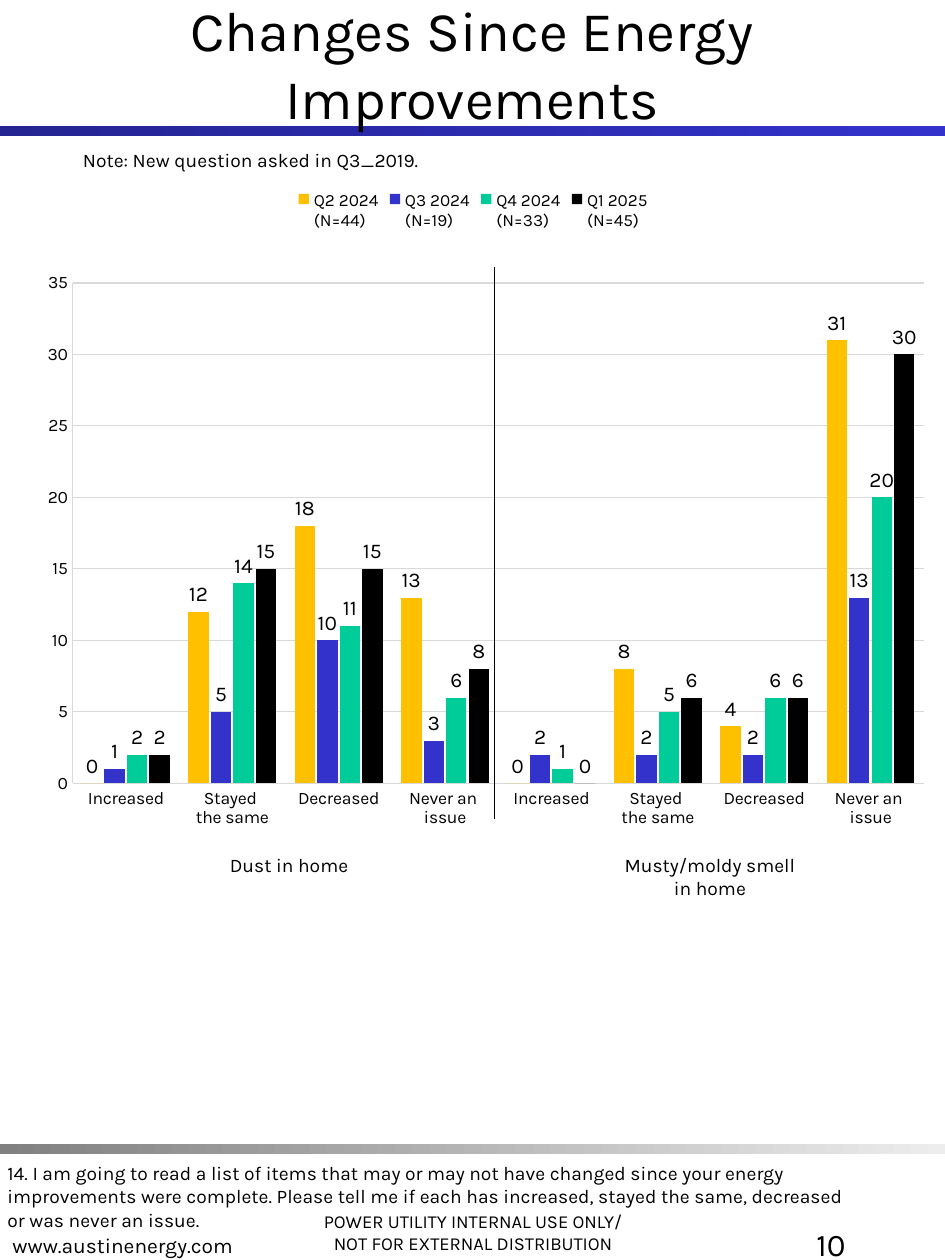
from lxml import etree
from pptx import Presentation
from pptx.chart.data import CategoryChartData
from pptx.dml.color import RGBColor
from pptx.enum import chart as ch, shapes, text
from pptx.oxml import parse_xml
from pptx.oxml.ns import nsdecls, qn
from pptx.util import Inches, Pt

# Content
TITLE = "Changes Since Energy Improvements"
ANSWERS = ["Increased", "Stayed \nthe same", "Decreased", "Never an \nissue"]
TOPICS = 2
SERIES = [
    ("Q2 2024\n(N=44)", "FFC000", (0, 12, 18, 13, 0, 8, 4, 31)),
    ("Q3 2024\n(N=19)", "3333CC", (1, 5, 10, 3, 2, 2, 2, 13)),
    ("Q4 2024\n(N=33)", "00CC99", (2, 14, 11, 6, 1, 5, 6, 20)),
    ("Q1 2025\n(N=45)", "000000", (2, 15, 15, 8, 0, 6, 6, 30)),
]
QUESTION = ("14. I am going to read a list of items that may or may not have changed since "
            "your energy improvements were complete. Please tell me if each has increased, "
            "stayed the same, decreased or was never an issue.")

THEME = {
    "font": "Karla", "ink": "000000", "grid": "D9D9D9",
    "title": 32, "number": 18, "site": 12, "body": 11, "footer": 10.5,
    "axis": 10, "legend": 9.8, "label": 12,
}

# Bars: top, gradient start, gradient end
BARS = [(1, "242492", "3333CC"), (9.08, "808080", "EDEDED")]

# Text boxes: lines, (left, top, width, height), size, alignment, anchor, wrap
A, V = text.PP_ALIGN, text.MSO_ANCHOR
FOOTERS = [
    (["POWER UTILITY INTERNAL USE ONLY/", "NOT FOR EXTERNAL DISTRIBUTION"],
     (2.16, 9.33, 3.19, 0.67), "footer", A.CENTER, V.BOTTOM, True),
    (["www.austinenergy.com"], (0, 9.36, 3.19, 0.67), "site", A.LEFT, V.BOTTOM, True),
    (["10"], (5.25, 9.67, 1.56, 0.67), "number", A.RIGHT, V.TOP, True),
]
NOTES = [
    (["Note: New question asked in Q3_2019."],
     (0.56, 1.13, 6.44, 0.29), "body", A.LEFT, V.TOP, True),
    ([QUESTION], (-0.04, 9.17, 6.85, 0.66), "body", A.LEFT, V.TOP, True),
]
TOPIC_LABELS = [
    (["Dust in home"], (1.58, 6.72, 1.43, 0.29), "body", A.CENTER, V.TOP, False),
    (["Musty/moldy smell", "in home"],
     (4.92, 6.72, 1.43, 0.6), "body", A.CENTER, V.TOP, False),
]


def rgb(value):
    return RGBColor.from_string(value)


def style_font(font, size):
    font.name = THEME["font"]
    font.size = Pt(THEME[size])
    font.bold = False
    font.color.rgb = rgb(THEME["ink"])


def fill_text(tf, lines, size, align, anchor, wrap):
    tf.text = "\n".join(lines)
    tf.word_wrap = wrap
    tf.auto_size = text.MSO_AUTO_SIZE.NONE
    tf.vertical_anchor = anchor
    for p in tf.paragraphs:
        p.alignment = align
        for r in p.runs:
            style_font(r.font, size)


def add_texts(s, boxes):
    for lines, box, *style in boxes:
        sp = s.shapes.add_textbox(*map(Inches, box))
        fill_text(sp.text_frame, lines, *style)


def add_bar(s, top, start, end):
    sp = s.shapes.add_shape(shapes.MSO_SHAPE.RECTANGLE, 0, Inches(top),
                            Inches(7.5), Inches(0.08))
    sp.shadow.inherit = False
    sp.line.fill.background()
    sp.fill.gradient()
    sp.fill.gradient_angle = 0
    for stop, position, color in zip(sp.fill.gradient_stops, (0, 1), (start, end)):
        stop.position = position
        stop.color.rgb = rgb(color)


def set_plot_area(chart, x, y, w, h):
    area = chart._chartSpace.chart.plotArea
    for old in area.findall(qn("c:layout")):
        area.remove(old)
    area.insert(0, parse_xml(
        f'<c:layout {nsdecls("c")}><c:manualLayout><c:layoutTarget val="inner"/>'
        '<c:xMode val="edge"/><c:yMode val="edge"/>'
        f'<c:x val="{x}"/><c:y val="{y}"/><c:w val="{w}"/><c:h val="{h}"/>'
        '</c:manualLayout></c:layout>'))


def add_changes_chart(s):
    data = CategoryChartData()
    data.categories = ANSWERS * TOPICS
    for name, _, values in SERIES:
        data.add_series(name, values)
    chart = s.shapes.add_chart(
        ch.XL_CHART_TYPE.COLUMN_CLUSTERED, Inches(0.06), Inches(1.4),
        Inches(7.39), Inches(5.92), data).chart
    chart.has_title = False
    style_font(chart.font, "axis")
    set_plot_area(chart, 0.07, 0.143, 0.914, 0.671)

    # Legend
    chart.has_legend = True
    chart.legend.position = ch.XL_LEGEND_POSITION.TOP
    chart.legend.include_in_layout = False
    style_font(chart.legend.font, "legend")

    # Axes
    for axis in (chart.category_axis, chart.value_axis):
        axis.major_tick_mark = axis.minor_tick_mark = ch.XL_TICK_MARK.NONE
        axis.format.line.color.rgb = rgb(THEME["grid"])
        axis.format.line.width = Pt(0.6)
        style_font(axis.tick_labels.font, "axis")
    values = chart.value_axis
    values.minimum_scale, values.maximum_scale, values.major_unit = 0, 35, 5
    values.major_gridlines.format.line.color.rgb = rgb(THEME["grid"])
    values.major_gridlines.format.line.width = Pt(0.6)

    # Columns and their values
    plot = chart.plots[0]
    plot.gap_width, plot.overlap = 90, -10
    plot.vary_by_categories = False
    for series, (_, color, _) in zip(plot.series, SERIES):
        series.format.fill.solid()
        series.format.fill.fore_color.rgb = rgb(color)
        labels = series.data_labels
        labels.show_value = True
        labels.position = ch.XL_LABEL_POSITION.OUTSIDE_END
        style_font(labels.font, "label")


def add_divider(s):
    line = s.shapes.add_connector(shapes.MSO_CONNECTOR.STRAIGHT, Inches(3.92),
                                  Inches(2.12), Inches(3.92), Inches(6.5))
    line.line.color.rgb = rgb(THEME["ink"])
    line.line.width = Pt(0.25)
    etree.SubElement(line._element.spPr, qn("a:effectLst"))


def main():
    prs = Presentation()
    prs.slide_width, prs.slide_height = Inches(7.5), Inches(10)
    s = prs.slides.add_slide(prs.slide_layouts[5])

    # Bars and footer
    for bar in BARS:
        add_bar(s, *bar)
    add_texts(s, FOOTERS)

    # Title, in front of the bar
    title = s.shapes.title
    title.left, title.top = 0, 0
    title.width, title.height = Inches(7.5), Inches(1)
    fill_text(title.text_frame, [TITLE], "title", A.CENTER, V.MIDDLE, True)
    s.shapes._spTree.append(title._element)

    # Notes, chart and topic labels
    add_texts(s, NOTES)
    add_changes_chart(s)
    add_texts(s, TOPIC_LABELS)
    add_divider(s)
    prs.save("out.pptx")


if __name__ == "__main__":
    main()
